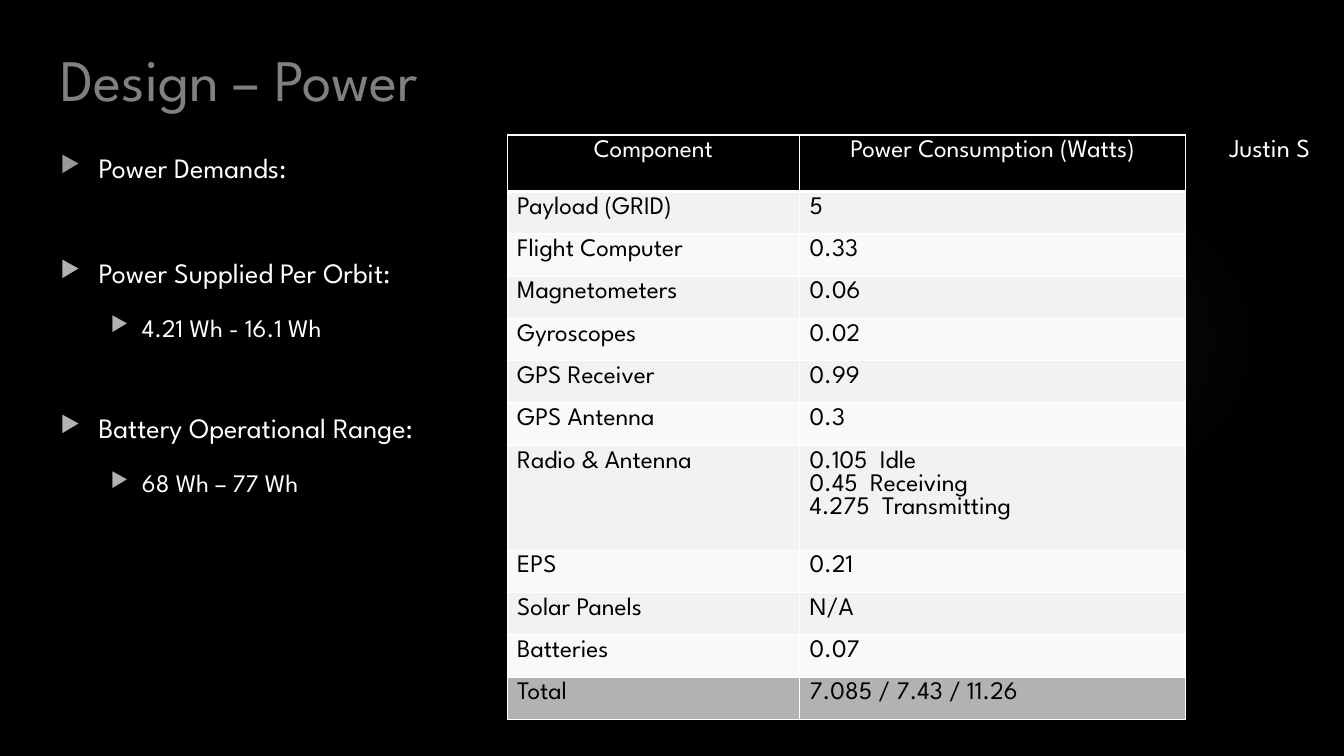
from lxml import etree
from pptx import Presentation
from pptx.dml.color import RGBColor
from pptx.enum.shapes import MSO_SHAPE
from pptx.enum.text import MSO_ANCHOR, PP_ALIGN
from pptx.oxml import parse_xml
from pptx.oxml.ns import nsdecls, qn
from pptx.util import Inches, Pt

OVAL = MSO_SHAPE.OVAL
LOW = MSO_ANCHOR.BOTTOM
LEFT, MID, RIGHT = PP_ALIGN.LEFT, PP_ALIGN.CENTER, PP_ALIGN.RIGHT
FONT = "League Spartan"
WHITE, BLACK = "FFFFFF", "000000"
HEAD = ("Component", "Power Consumption (Watts)")
PARTS = [
    ("Payload (GRID)", "5"),
    ("Flight Computer", "0.33"),
    ("Magnetometers", "0.06"),
    ("Gyroscopes", "0.02"),
    ("GPS Receiver", "0.99"),
    ("GPS Antenna", "0.3"),
    ("Radio & Antenna", "0.105  Idle\n0.45  Receiving\n4.275  Transmitting"),
    ("EPS", "0.21"),
    ("Solar Panels", "N/A"),
    ("Batteries", "0.07"),
]
TOTAL = ("Total", "7.085 / 7.43 / 11.26")
POINTS = [
    (0, "Power Demands:", 0, "999999"),
    (0, "Power Supplied Per Orbit:", 44, "B2B2B2"),
    (1, "4.21 Wh - 16.1 Wh", 10, "B2B2B2"),
    (0, "Battery Operational Range:", 41.5, "B2B2B2"),
    (1, "68 Wh – 77 Wh", 10, "B2B2B2"),
]


def color(code):
    return RGBColor.from_string(code)


def style(para, size, code, align=LEFT):
    para.alignment = align
    font = para.font
    font.name, font.size, font.bold = FONT, Pt(size), False
    font.color.rgb = color(code)


def place(shape, left, top, width, height):
    shape.left, shape.top = Inches(left), Inches(top)
    shape.width, shape.height = Inches(width), Inches(height)


def glow(slide):
    oval = slide.shapes.add_shape(
        OVAL, Inches(9.41), Inches(1.83), Inches(3.08), Inches(3.08))
    oval.shadow.inherit = False
    oval.line.fill.background()
    stops = "".join(
        f'<a:gs pos="{pos * 1000}"><a:srgbClr val="666666">'
        f'<a:alpha val="{alpha * 1000}"/></a:srgbClr></a:gs>'
        for pos, alpha in ((0, 7), (36, 6), (69, 0), (100, 0)))
    fill = parse_xml(
        f'<a:gradFill {nsdecls("a")}><a:gsLst>{stops}</a:gsLst>'
        '<a:path path="circle"><a:fillToRect l="50000" t="50000" '
        'r="50000" b="50000"/></a:path></a:gradFill>')
    oval.element.spPr.find(qn("a:prstGeom")).addnext(fill)


def title(slide, text):
    shape = slide.shapes.title
    place(shape, 0.5, 0.4, 10.29, 0.77)
    frame = shape.text_frame
    frame.text = text
    frame.vertical_anchor = LOW
    style(frame.paragraphs[0], 42, "808080")


def box(slide, left, top, width, height):
    frame = slide.shapes.add_textbox(
        Inches(left), Inches(top), Inches(width), Inches(height)).text_frame
    frame.word_wrap = True
    return frame


def bullet(para, level, code):
    props = para._p.get_or_add_pPr()
    left, hang = ((0.38, 0.38), (0.81, 0.31))[level]
    props.set("marL", str(Inches(left)))
    props.set("indent", str(-Inches(hang)))
    tint = etree.SubElement(props, qn("a:buClr"))
    etree.SubElement(tint, qn("a:srgbClr"), val=code)
    etree.SubElement(props, qn("a:buSzPct"), val="80000")
    etree.SubElement(props, qn("a:buChar"), char="▶")


def points(slide):
    frame = box(slide, 0.5, 1.34, 4.4, 5.64)
    for i, (level, text, gap, code) in enumerate(POINTS):
        para = frame.add_paragraph() if i else frame.paragraphs[0]
        para.text = text
        para.level = level
        bullet(para, level, code)
        para.line_spacing = 1.3
        para.space_before = Pt(gap)
        style(para, 18 if level else 20, WHITE)


def border(cell, base):
    props = cell._tc.get_or_add_tcPr()
    for side, width in (("L", 1), ("R", 1), ("T", 1), ("B", base)):
        line = etree.SubElement(props, qn(f"a:ln{side}"), w=str(Pt(width)))
        fill = etree.SubElement(line, qn("a:solidFill"))
        etree.SubElement(fill, qn("a:srgbClr"), val=WHITE)


def write(cell, text, back, ink, align, base):
    border(cell, base)
    cell.fill.solid()
    cell.fill.fore_color.rgb = color(back)
    cell.text = text
    for para in cell.text_frame.paragraphs:
        style(para, 18, ink, align)


def table(slide):
    rows = [HEAD, *PARTS, TOTAL]
    grid = slide.shapes.add_table(
        len(rows), 2, Inches(5.03), Inches(1.34),
        Inches(6.73), Inches(5.8)).table
    grid.first_row = grid.horz_banding = False
    for col, width in zip(grid.columns, (2.9, 3.83)):
        col.width = Inches(width)
    for i, row in enumerate(rows):
        lines = row[1].count("\n") + 1
        grid.rows[i].height = Inches(
            0.56 if row is HEAD else 1.04 if lines > 1 else 0.42)
        back = "F2F2F2" if i % 2 else "F9F9F9"
        ink, align, base = BLACK, LEFT, 1
        if row is HEAD:
            back, ink, align, base = BLACK, WHITE, MID, 3
        elif row is TOTAL:
            back = "B2B2B2"
        for j, text in enumerate(row):
            write(grid.cell(i, j), text, back, ink, align, base)


def author(slide, name):
    para = box(slide, 11.43, 1.16, 1.66, 0.39).paragraphs[0]
    para.text = name
    para.line_spacing = 1.3
    style(para, 18.5, WHITE, RIGHT)


def main():
    deck = Presentation()
    deck.slide_width, deck.slide_height = Inches(13.33), Inches(7.5)
    slide = deck.slides.add_slide(deck.slide_layouts[5])
    back = slide.background.fill
    back.solid()
    back.fore_color.rgb = color(BLACK)
    glow(slide)
    title(slide, "Design – Power")
    points(slide)
    table(slide)
    author(slide, "Justin S")
    deck.save("out.pptx")


if __name__ == "__main__":
    main()
